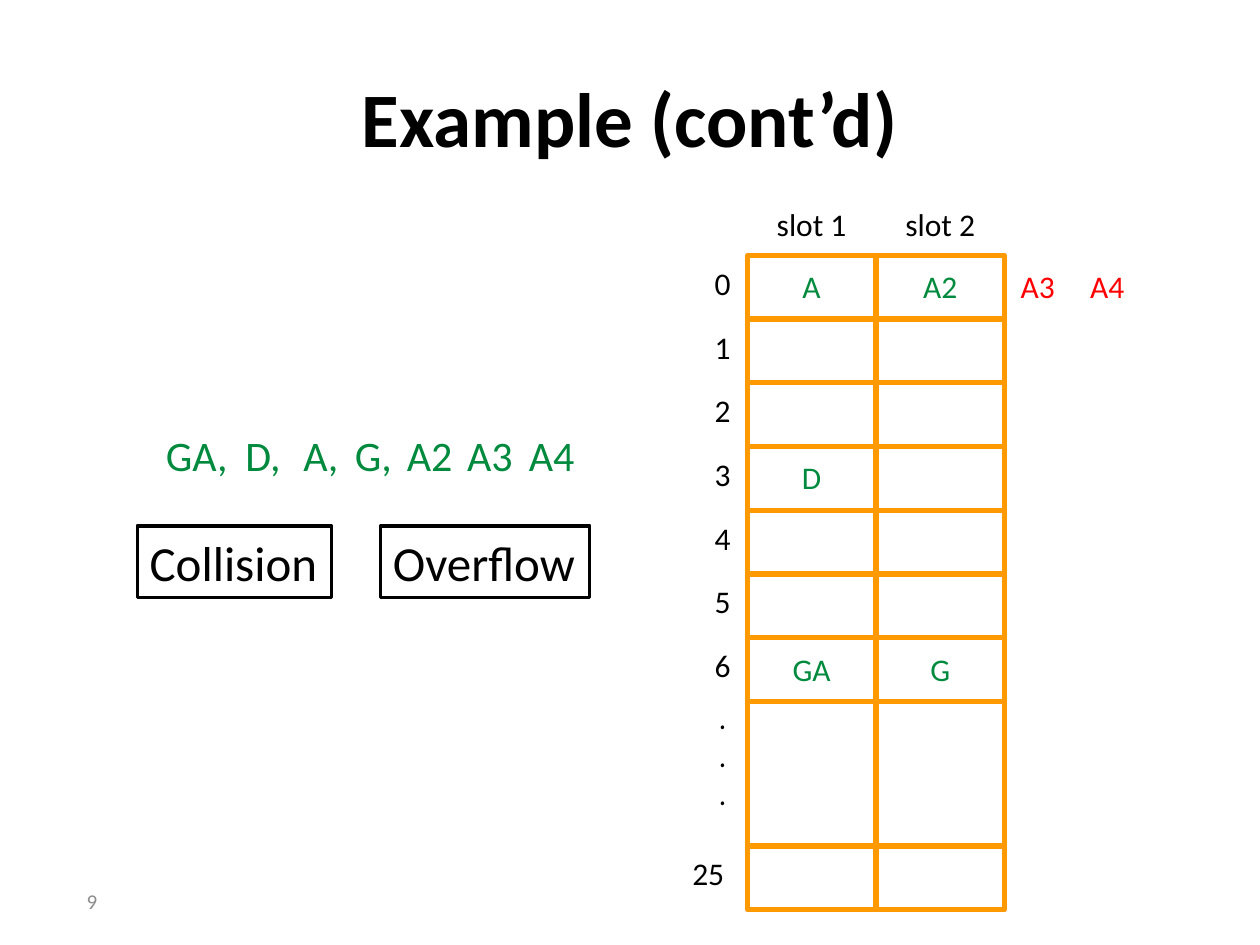
import pptx
import pptx.util
import pptx.dml.color
import pptx.enum.shapes
import pptx.enum.text

Pt = pptx.util.Pt
ALIGN = pptx.enum.text.PP_ALIGN
ANCHOR = pptx.enum.text.MSO_ANCHOR
RECT = pptx.enum.shapes.MSO_SHAPE.RECTANGLE
INK = {"black": "000000", "white": "FFFFFF", "green": "008A3E",
       "red": "FF0000", "orange": "FF9900", "gray": "8C8C8C"}


def color(name):
    return pptx.dml.color.RGBColor.from_string(INK[name])


class Deck:
    def __init__(self, wide, high):
        self.file = pptx.Presentation()
        self.file.slide_width, self.file.slide_height = Pt(wide), Pt(high)
        self.slide = self.file.slides.add_slide(self.file.slide_layouts[6])
        self.face = "Calibri"

    def words(self, shape, lines, size, ink="black", align=ALIGN.CENTER,
              face=None, bold=False):
        frame = shape.text_frame
        frame.text = "\n".join(lines)
        for para in frame.paragraphs:
            para.alignment = align
            font = para.font
            font.name, font.size, font.bold = face or self.face, Pt(size), bold
            font.color.rgb = color(ink)

    def text(self, left, top, wide, high, *lines, size=18, pad=3.6,
             anchor=ANCHOR.TOP, **style):
        box = self.slide.shapes.add_textbox(Pt(left), Pt(top), Pt(wide), Pt(high))
        frame = box.text_frame
        frame.word_wrap = True
        frame.vertical_anchor = anchor
        frame.margin_top = frame.margin_bottom = Pt(pad)
        self.words(box, lines, size, **style)

    def label(self, left, top, wide, *lines, high=47.5, **style):
        self.text(left, top, wide, high, *lines, pad=10.8, **style)

    def rect(self, left, top, wide, high, line, width, fill=None):
        box = self.slide.shapes.add_shape(RECT, Pt(left), Pt(top), Pt(wide), Pt(high))
        box.shadow.inherit = False
        if fill:
            box.fill.solid()
            box.fill.fore_color.rgb = color(fill)
        else:
            box.fill.background()
        box.line.color.rgb = color(line)
        box.line.width = Pt(width)
        return box

    def tag(self, left, wide, word):
        box = self.rect(left, 300.5, wide, 41, "black", 2, "white")
        box.text_frame.word_wrap = False
        self.words(box, [word], 28, align=ALIGN.LEFT)


def main():
    deck = Deck(720, 540)

    # Title
    deck.text(36, 21.6, 648, 90, "Example (cont’d)", size=44, bold=True,
              anchor=ANCHOR.MIDDLE)

    # Hash table grid: seven buckets, a gap row, and the last bucket
    left, top, wide, high, gap = 427, 146, 73.5, 36.4, 82.6
    cols = [left, left + wide]
    rows = [top + n * high for n in range(8)]
    rows.append(rows[7] + gap)
    for n, y in enumerate(rows):
        for x in cols:
            deck.rect(x, y, wide, gap if n == 7 else high, "orange", 3)

    # Slot heads and bucket numbers
    for n, x in enumerate(cols, 1):
        deck.label(x, 106.5, wide, f"slot {n}")
    for n, y in enumerate(rows[:7]):
        deck.label(399, y - 6, 28, str(n))
    deck.label(399, 388, 28, ".", ".", ".", high=98, face="Comic Neue", bold=True)
    deck.label(382.5, rows[8] - 6, 44.5, "25")

    # Stored keys, and those that found no slot
    for row, col, key in [(0, 0, "A"), (0, 1, "A2"), (3, 0, "D"),
                          (6, 0, "GA"), (6, 1, "G")]:
        deck.label(cols[col], rows[row] - 4, wide, key, ink="green")
    for x, key in [(568, "A3"), (607.7, "A4")]:
        deck.label(x, rows[0] - 4, 50, key, ink="red")

    # Order of arrival
    for x, key in [(87.8, "GA,"), (133.2, "D,"), (166.3, "A,"), (195.8, "G,"),
                   (225.4, "A2"), (259.9, "A3"), (295.2, "A4")]:
        deck.text(x, 242, 55, 36.5, key, size=24, ink="green", align=ALIGN.LEFT)

    # Outcomes
    deck.tag(78.5, 111, "Collision")
    deck.tag(217.5, 119.5, "Overflow")

    # Page number
    deck.text(12.6, 500.5, 50, 28.8, "9", size=12, ink="gray", align=ALIGN.RIGHT,
              anchor=ANCHOR.MIDDLE)

    deck.file.save("out.pptx")


if __name__ == "__main__":
    main()
